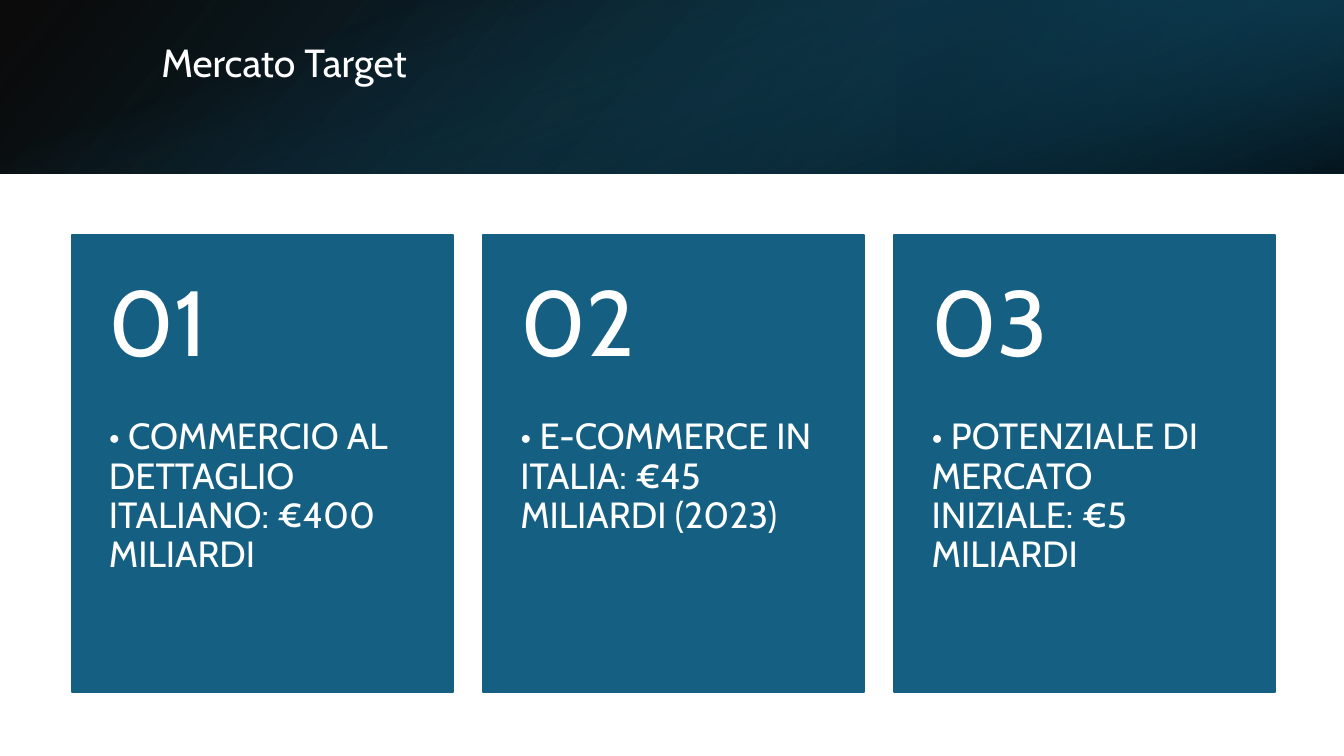
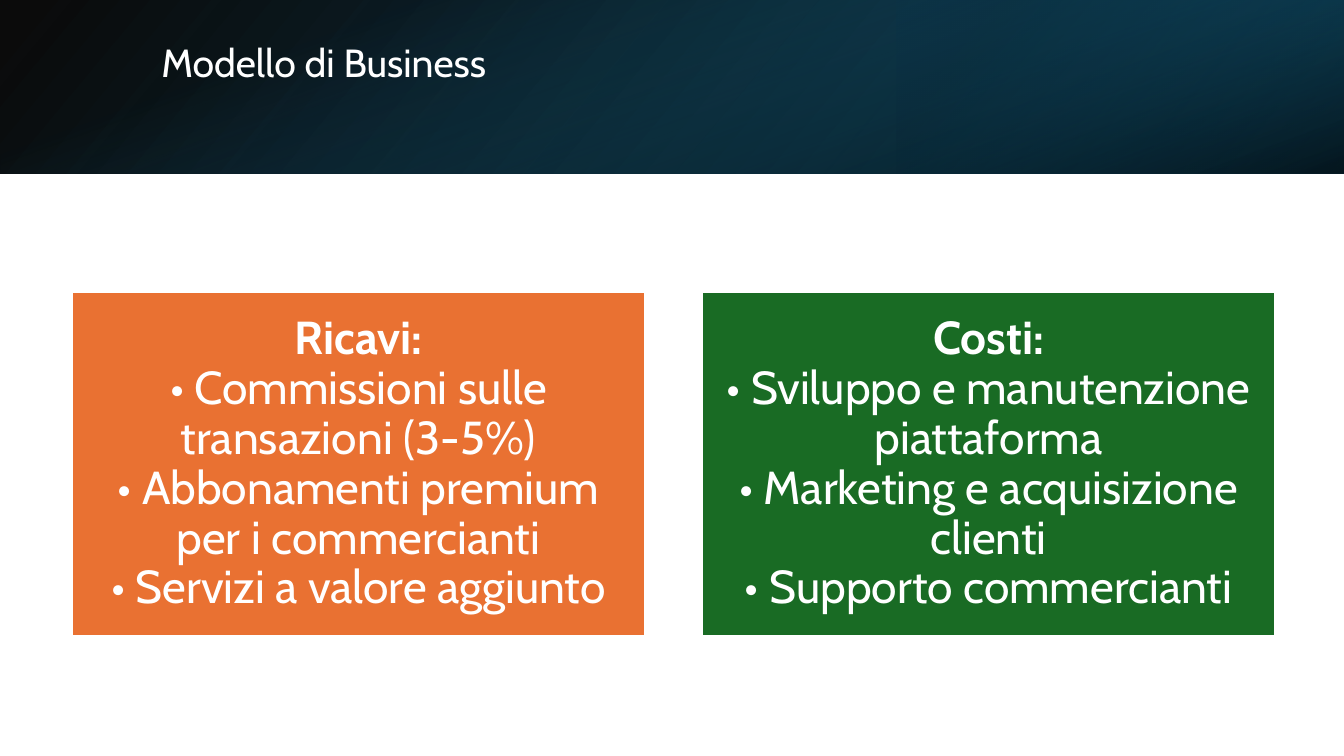
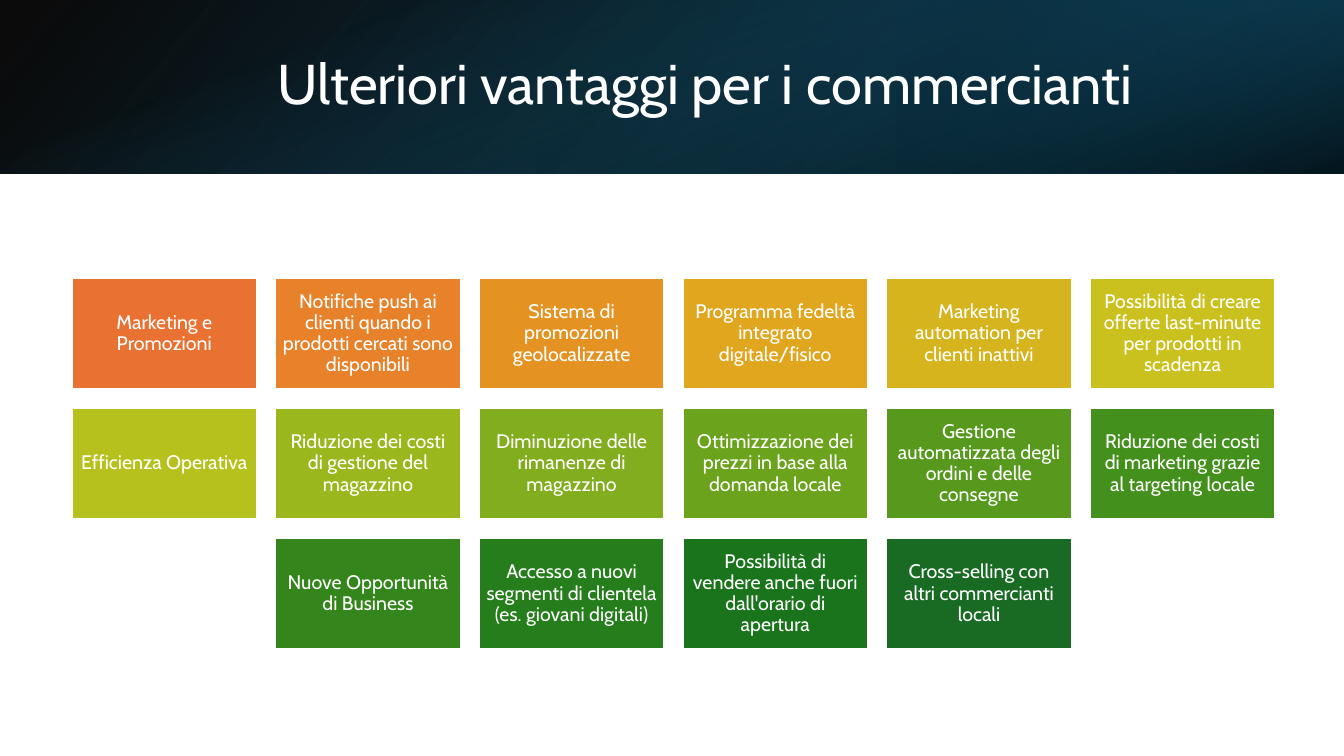
"""Build three slides on target market, business model and merchant benefits."""
from dataclasses import dataclass

from lxml.etree import SubElement
from pptx import Presentation
from pptx.dml.color import RGBColor
from pptx.enum.shapes import MSO_SHAPE
from pptx.enum.text import MSO_ANCHOR, MSO_AUTO_SIZE, PP_ALIGN
from pptx.oxml.ns import qn
from pptx.presentation import Presentation as Deck
from pptx.shapes.autoshape import Shape
from pptx.slide import Slide
from pptx.text.text import TextFrame
from pptx.util import Inches, Pt

FONT = "Cabin"
SLIDE_WIDTH, SLIDE_HEIGHT = 13.33, 7.5
BAND_HEIGHT = 1.72
LEFT_MARGIN = 0.71
COLOURS = {
    "white": "FFFFFF",
    "black": "000000",
    "navy": "0B3041",
    "deep_blue": "104862",
    "blue": "156082",
    "orange": "E97132",
    "pumpkin": "E7822A",
    "amber": "E49323",
    "honey": "E0A61D",
    "gold": "D5B41E",
    "mustard": "CBC11E",
    "lime": "B7C11E",
    "pear": "9BB71E",
    "leaf": "82AD1E",
    "grass": "6BA31D",
    "moss": "56991D",
    "fern": "44901C",
    "clover": "34861C",
    "emerald": "257D1B",
    "forest": "1A741B",
    "pine": "196B24",
}


@dataclass(frozen=True)
class Area:
    """A rectangle in inches."""

    left: float
    top: float
    width: float
    height: float


@dataclass(frozen=True)
class Stop:
    """A gradient stop with position and opacity in percent."""

    position: int
    colour: str
    opacity: int


@dataclass(frozen=True)
class BandLayer:
    """A translucent gradient layer of the title band."""

    area: Area
    stops: tuple[Stop, Stop]
    angle: int
    rotation: int = 0
    flipped: bool = False


@dataclass(frozen=True)
class TextStyle:
    """Size, alignment, anchor and insets of a text frame."""

    size: int
    align: PP_ALIGN = PP_ALIGN.LEFT
    anchor: MSO_ANCHOR = MSO_ANCHOR.MIDDLE
    insets: tuple[float, float, float, float] = (0.1, 0.05, 0.1, 0.05)
    bold_heading: bool = False


@dataclass(frozen=True)
class Tile:
    """A filled rectangle with its lines of text."""

    colour: str
    lines: tuple[str, ...]


BAND_LAYERS = (
    BandLayer(Area(0, 0, SLIDE_WIDTH, BAND_HEIGHT),
              (Stop(0, "black", 96), Stop(100, "deep_blue", 100)), 140, flipped=True),
    BandLayer(Area(8.89, 0, 4.44, BAND_HEIGHT),
              (Stop(19, "navy", 68), Stop(100, "blue", 79)), 320, 180, True),
    BandLayer(Area((SLIDE_WIDTH - BAND_HEIGHT) / 2, (BAND_HEIGHT - SLIDE_WIDTH) / 2,
                   BAND_HEIGHT, SLIDE_WIDTH),
              (Stop(23, "blue", 0), Stop(99, "black", 74)), 340, 90),
)
TITLE_AREA = Area(1.5, 0.38, 10.98, 0.96)
TOP_TITLE = TextStyle(28, anchor=MSO_ANCHOR.TOP)
CENTRED_TITLE = TextStyle(40, PP_ALIGN.CENTER)
NUMBER_STYLE = TextStyle(66, insets=(0.37, 0.18, 0.37, 0.18))
CARD_STYLE = TextStyle(26, anchor=MSO_ANCHOR.TOP, insets=(0.37, 0, 0.37, 0.36))
PANEL_STYLE = TextStyle(33, PP_ALIGN.CENTER, insets=(0.14,) * 4, bold_heading=True)
TILE_STYLE = TextStyle(14, PP_ALIGN.CENTER, insets=(0.06,) * 4)

MARKET_FACTS = (
    "• COMMERCIO AL DETTAGLIO ITALIANO: €400 MILIARDI",
    "• E-COMMERCE IN ITALIA: €45 MILIARDI (2023)",
    "• POTENZIALE DI MERCATO INIZIALE: €5 MILIARDI",
)
PANELS = (
    Tile("orange", (
        "Ricavi:",
        "• Commissioni sulle transazioni (3-5%)",
        "• Abbonamenti premium per i commercianti",
        "• Servizi a valore aggiunto",
    )),
    Tile("pine", (
        "Costi:",
        "• Sviluppo e manutenzione piattaforma",
        "• Marketing e acquisizione clienti",
        "• Supporto commercianti",
    )),
)
BENEFITS = (
    Tile("orange", ("Marketing e Promozioni",)),
    Tile("pumpkin", ("Notifiche push ai clienti quando i prodotti cercati sono disponibili",)),
    Tile("amber", ("Sistema di promozioni geolocalizzate",)),
    Tile("honey", ("Programma fedeltà integrato digitale/fisico",)),
    Tile("gold", ("Marketing automation per clienti inattivi",)),
    Tile("mustard", ("Possibilità di creare offerte last-minute per prodotti in scadenza",)),
    Tile("lime", ("Efficienza Operativa",)),
    Tile("pear", ("Riduzione dei costi di gestione del magazzino",)),
    Tile("leaf", ("Diminuzione delle rimanenze di magazzino",)),
    Tile("grass", ("Ottimizzazione dei prezzi in base alla domanda locale",)),
    Tile("moss", ("Gestione automatizzata degli ordini e delle consegne",)),
    Tile("fern", ("Riduzione dei costi di marketing grazie al targeting locale",)),
    Tile("clover", ("Nuove Opportunità di Business",)),
    Tile("emerald", ("Accesso a nuovi segmenti di clientela (es. giovani digitali)",)),
    Tile("forest", ("Possibilità di vendere anche fuori dall'orario di apertura",)),
    Tile("pine", ("Cross-selling con altri commercianti locali",)),
)


def rgb(name: str) -> RGBColor:
    """Return the named colour."""
    return RGBColor.from_string(COLOURS[name])


def lengths(area: Area) -> tuple[Inches, Inches, Inches, Inches]:
    """Return the area as slide lengths."""
    return Inches(area.left), Inches(area.top), Inches(area.width), Inches(area.height)


def write_text(frame: TextFrame, lines: tuple[str, ...], style: TextStyle) -> None:
    """Write one paragraph per line in the given style."""
    frame.word_wrap = True
    frame.auto_size = MSO_AUTO_SIZE.NONE
    frame.vertical_anchor = style.anchor
    (frame.margin_left, frame.margin_top,
     frame.margin_right, frame.margin_bottom) = map(Inches, style.insets)
    frame.text = "\n".join(lines)
    for index, paragraph in enumerate(frame.paragraphs):
        paragraph.alignment = style.align
        paragraph.line_spacing = 0.9
        paragraph.space_before = paragraph.space_after = Pt(0)
        paragraph.font.name = FONT
        paragraph.font.size = Pt(style.size)
        paragraph.font.bold = style.bold_heading and index == 0
        paragraph.font.color.rgb = rgb("white")


def add_rectangle(slide: Slide, area: Area) -> Shape:
    """Add a rectangle without shadow."""
    box = slide.shapes.add_shape(MSO_SHAPE.RECTANGLE, *lengths(area))
    box.shadow.inherit = False
    return box


def add_box(slide: Slide, area: Area, fill: str, line: str) -> Shape:
    """Add a solid outlined rectangle."""
    box = add_rectangle(slide, area)
    box.fill.solid()
    box.fill.fore_color.rgb = rgb(fill)
    box.line.color.rgb = rgb(line)
    box.line.width = Pt(1.5)
    return box


def add_text(slide: Slide, area: Area, text: str, style: TextStyle) -> None:
    """Add a text box with one paragraph."""
    write_text(slide.shapes.add_textbox(*lengths(area)).text_frame, (text,), style)


def add_band_layer(slide: Slide, layer: BandLayer) -> None:
    """Add one gradient layer of the title band."""
    box = add_rectangle(slide, layer.area)
    box.line.fill.background()
    box.rotation = layer.rotation
    properties = box.element.spPr
    if layer.flipped:
        properties.find(qn("a:xfrm")).set("flipH", "1")
    box.fill.gradient()
    box.fill.gradient_angle = 360 - layer.angle
    for target, stop in zip(box.fill.gradient_stops, layer.stops):
        target.position = stop.position / 100
        target.color.rgb = rgb(stop.colour)
    for colour, stop in zip(properties.iter(qn("a:srgbClr")), layer.stops):
        SubElement(colour, qn("a:alpha")).set("val", str(stop.opacity * 1000))


def add_page(deck: Deck, title: str, style: TextStyle) -> Slide:
    """Add a slide with the title band and its title."""
    slide = deck.slides.add_slide(deck.slide_layouts[5])
    for layer in BAND_LAYERS:
        add_band_layer(slide, layer)
    heading = slide.shapes.title
    heading.left, heading.top, heading.width, heading.height = lengths(TITLE_AREA)
    write_text(heading.text_frame, (title,), style)
    heading.element.getparent().append(heading.element)
    return slide


def add_tiles(slide: Slide, tiles: tuple[Tile, ...], columns: int, first: Area,
              pitch: tuple[float, float], style: TextStyle) -> None:
    """Add tiles row by row, centring an incomplete last row."""
    for start in range(0, len(tiles), columns):
        row = tiles[start:start + columns]
        indent = (columns - len(row)) / 2
        top = first.top + start // columns * pitch[1]
        for column, tile in enumerate(row):
            left = first.left + (indent + column) * pitch[0]
            area = Area(left, top, first.width, first.height)
            box = add_box(slide, area, tile.colour, "white")
            write_text(box.text_frame, tile.lines, style)


def add_market_page(deck: Deck) -> None:
    """Add the slide with three numbered cards."""
    slide = add_page(deck, "Mercato Target", TOP_TITLE)
    top, width, height, number_height = 2.33, 3.78, 4.54, 1.82
    for index, fact in enumerate(MARKET_FACTS):
        left = LEFT_MARGIN + index * 4.08
        add_box(slide, Area(left, top, width, height), "blue", "blue")
        add_text(slide, Area(left, top + number_height, width, height - number_height),
                 fact, CARD_STYLE)
        add_text(slide, Area(left, top, width, number_height),
                 f"{index + 1:02}", NUMBER_STYLE)


def main() -> None:
    """Build and save the deck."""
    deck = Presentation()
    deck.slide_width, deck.slide_height = Inches(SLIDE_WIDTH), Inches(SLIDE_HEIGHT)
    add_market_page(deck)
    business = add_page(deck, "Modello di Business", TOP_TITLE)
    add_tiles(business, PANELS, 2, Area(LEFT_MARGIN, 2.9, 5.69, 3.41), (6.25, 0), PANEL_STYLE)
    benefits = add_page(deck, "Ulteriori vantaggi per i commercianti", CENTRED_TITLE)
    add_tiles(benefits, BENEFITS, 6, Area(LEFT_MARGIN, 2.76, 1.84, 1.1), (2.02, 1.29), TILE_STYLE)
    deck.save("out.pptx")


if __name__ == "__main__":
    main()
